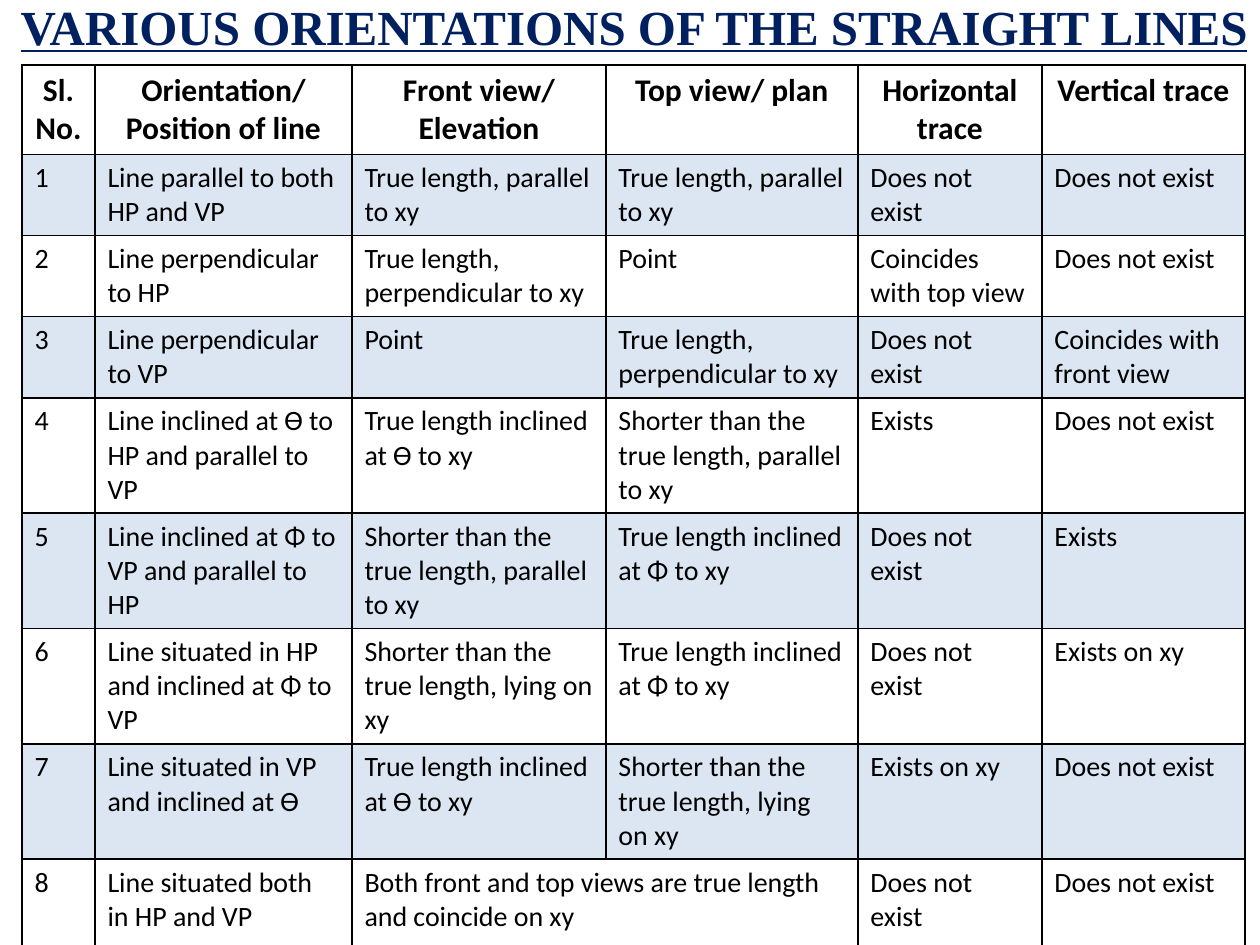
"""Builds a slide tabulating the orientations of straight lines and their traces."""
from dataclasses import dataclass

from lxml import etree
from pptx import Presentation
from pptx import util as u
from pptx.dml.color import RGBColor
from pptx.enum import text
from pptx.oxml.ns import qn


@dataclass(frozen=True)
class Theme:
    navy: str = "002060"
    ink: str = "000000"
    band: str = "DCE6F2"
    paper: str = "FFFFFF"
    title_font: str = "Times New Roman"
    body_font: str = "Calibri"
    title_size: int = 28
    head_size: int = 18
    body_size: int = 16
    rule_width: int = 1


theme = Theme()
PX = 914400 / 126


def px(length):
    return u.Emu(round(length * PX))


def write(frame, words, *, size, font=theme.body_font, color=theme.ink,
          bold=False, underline=False, align=text.PP_ALIGN.LEFT):
    paragraph = frame.paragraphs[0]
    paragraph.alignment = align
    run = paragraph.add_run()
    run.text = words
    run.font.size = u.Pt(size)
    run.font.name = font
    run.font.bold = bold
    run.font.underline = underline
    run.font.color.rgb = RGBColor.from_string(color)


headings = ["Sl. No.", "Orientation/ Position of line", "Front view/ Elevation",
            "Top view/ plan", "Horizontal trace", "Vertical trace"]
absent = "Does not exist"
true_parallel = "True length, parallel to xy"
true_perpendicular = "True length, perpendicular to xy"
true_theta = "True length inclined at Ɵ to xy"
true_phi = "True length inclined at Φ to xy"
short_parallel = "Shorter than the true length, parallel to xy"
short_lying = "Shorter than the true length, lying on xy"
orientations = [
    ["Line parallel to both HP and VP", true_parallel, true_parallel, absent, absent],
    ["Line perpendicular to HP", true_perpendicular, "Point",
     "Coincides with top view", absent],
    ["Line perpendicular to VP", "Point", true_perpendicular, absent,
     "Coincides with front view"],
    ["Line inclined at Ɵ to HP and parallel to VP", true_theta, short_parallel,
     "Exists", absent],
    ["Line inclined at Φ to VP and parallel to HP", short_parallel, true_phi,
     absent, "Exists"],
    ["Line situated in HP and inclined at Φ to VP", short_lying, true_phi,
     absent, "Exists on xy"],
    ["Line situated in VP and inclined at Ɵ", true_theta, short_lying,
     "Exists on xy", absent],
    ["Line situated both in HP and VP",
     "Both front and top views are true length and coincide on xy", "",
     absent, absent],
]
rows = [headings] + [[str(number), *entry]
                     for number, entry in enumerate(orientations, 1)]
column_widths = [73, 257, 254, 252, 184, 203]
row_heights = [84] + [77] * 3 + [108] * 4 + [103]

deck = Presentation()
deck.slide_width, deck.slide_height = px(1260), px(945)
slide = deck.slides.add_slide(deck.slide_layouts[5])

title = slide.shapes.title
title.left, title.top, title.width, title.height = px(4), px(-25), px(1260), px(102)
title.text_frame.vertical_anchor = text.MSO_ANCHOR.MIDDLE
write(title.text_frame, "VARIOUS ORIENTATIONS OF THE STRAIGHT LINES",
      size=theme.title_size, font=theme.title_font, color=theme.navy,
      bold=True, underline=True, align=text.PP_ALIGN.CENTER)

table = slide.shapes.add_table(len(rows), len(headings), px(22), px(65),
                               px(sum(column_widths)), px(sum(row_heights))).table
table.first_row = False
table.horz_banding = False
for column, width in zip(table.columns, column_widths):
    column.width = px(width)
for row, height in zip(table.rows, row_heights):
    row.height = px(height)
table.cell(8, 2).merge(table.cell(8, 3))

for r, entries in enumerate(rows):
    for c, words in enumerate(entries):
        cell = table.cell(r, c)
        properties = cell._tc.get_or_add_tcPr()
        for side in ("a:lnL", "a:lnR", "a:lnT", "a:lnB"):
            rule = etree.SubElement(properties, qn(side),
                                    w=str(u.Pt(theme.rule_width)))
            ink = etree.SubElement(rule, qn("a:solidFill"))
            etree.SubElement(ink, qn("a:srgbClr"), val=theme.ink)
        cell.fill.solid()
        cell.fill.fore_color.rgb = RGBColor.from_string(
            theme.band if r % 2 else theme.paper)
        if cell.is_spanned:
            continue
        if r == 0:
            write(cell.text_frame, words, size=theme.head_size, bold=True,
                  align=text.PP_ALIGN.CENTER)
        else:
            write(cell.text_frame, words, size=theme.body_size)

deck.save("out.pptx")
